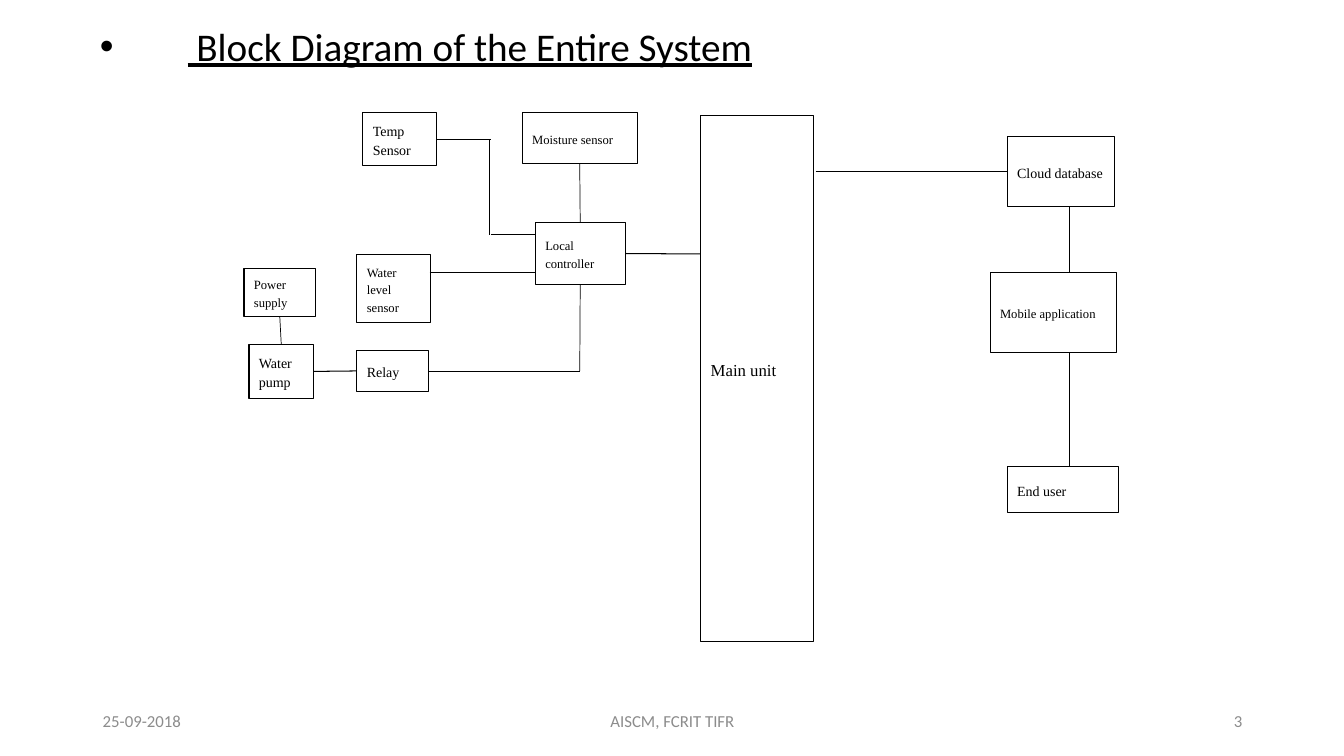
from dataclasses import dataclass
from typing import Optional

from lxml import etree
from pptx import Presentation
from pptx.dml.color import RGBColor
from pptx.enum.shapes import MSO_CONNECTOR, MSO_SHAPE
from pptx.enum.text import MSO_ANCHOR, MSO_AUTO_SIZE, PP_ALIGN
from pptx.oxml.ns import qn
from pptx.util import Inches, Pt

STRAIGHT = MSO_CONNECTOR.STRAIGHT
RECTANGLE = MSO_SHAPE.RECTANGLE
TOP, MIDDLE = MSO_ANCHOR.TOP, MSO_ANCHOR.MIDDLE
NO_AUTOFIT = MSO_AUTO_SIZE.NONE
ALIGN_LEFT, ALIGN_CENTER, ALIGN_RIGHT = PP_ALIGN.LEFT, PP_ALIGN.CENTER, PP_ALIGN.RIGHT
TOP_SIDE, LEFT_SIDE, BOTTOM_SIDE, RIGHT_SIDE = range(4)


@dataclass(frozen=True)
class Theme:
    ink: RGBColor = RGBColor(0, 0, 0)
    muted: RGBColor = RGBColor(0x8C, 0x8C, 0x8C)
    heading_font: str = "Calibri"
    block_font: str = "Times New Roman"
    title_size: float = 28
    footer_size: float = 12
    large_size: float = 12
    medium_size: float = 10
    small_size: float = 9
    box_line: float = 0.75
    wire_line: float = 0.5


THEME = Theme()


@dataclass(frozen=True)
class Block:
    name: str
    lines: tuple[str, ...]
    left: float
    top: float
    width: float
    height: float
    size: float
    bottom_inset: float = 0.1


@dataclass(frozen=True)
class Joint:
    block: str
    side: int


@dataclass(frozen=True)
class Wire:
    start: tuple[float, float]
    end: tuple[float, float]
    weight: float = THEME.wire_line
    start_joint: Optional[Joint] = None
    end_joint: Optional[Joint] = None


@dataclass(frozen=True)
class FooterItem:
    text: str
    left: float
    width: float
    alignment: PP_ALIGN


BLOCKS = (
    Block("temperature", ("Temp", "Sensor"), 3.6, 1.12, 0.73, 0.52, THEME.medium_size),
    Block("water level", ("Water level sensor",), 3.54, 2.53, 0.73, 0.67, THEME.small_size),
    Block("moisture", ("Moisture sensor",), 5.18, 1.12, 1.14, 0.5, THEME.small_size),
    Block("controller", ("Local controller",), 5.31, 2.21, 0.89, 0.61, THEME.small_size),
    Block("relay", ("Relay",), 3.54, 3.48, 0.71, 0.4, THEME.medium_size),
    Block("pump", ("Water pump",), 2.47, 3.42, 0.64, 0.53, THEME.medium_size),
    Block("power", ("Power supply",), 2.42, 2.66, 0.71, 0.48, THEME.small_size),
    Block("main unit", ("Main unit",), 6.95, 1.15, 1.12, 5.21, THEME.large_size, 0.3),
    Block("cloud", ("Cloud database",), 9.99, 1.35, 1.06, 0.7, THEME.medium_size),
    Block("mobile", ("Mobile application",), 9.82, 2.7, 1.25, 0.8, THEME.small_size),
    Block("user", ("End user",), 9.99, 4.63, 1.1, 0.46, THEME.medium_size),
)

WIRES = (
    Wire((3.11, 3.68), (3.54, 3.68), THEME.box_line,
         Joint("pump", RIGHT_SIDE), Joint("relay", LEFT_SIDE)),
    Wire((6.2, 2.52), (6.95, 2.52), THEME.box_line, Joint("controller", RIGHT_SIDE)),
    Wire((8.09, 1.7), (9.99, 1.7), THEME.box_line, None, Joint("cloud", LEFT_SIDE)),
    Wire((10.61, 2.05), (10.61, 2.7), THEME.box_line),
    Wire((10.61, 3.5), (10.61, 4.63), THEME.box_line),
    Wire((5.75, 1.62), (5.75, 2.21), start_joint=Joint("moisture", BOTTOM_SIDE),
         end_joint=Joint("controller", TOP_SIDE)),
    Wire((4.33, 1.38), (4.87, 1.38), start_joint=Joint("temperature", RIGHT_SIDE)),
    Wire((4.85, 1.38), (4.85, 2.33)),
    Wire((4.87, 2.33), (5.31, 2.33)),
    Wire((4.26, 2.7), (5.32, 2.7)),
    Wire((4.25, 3.68), (5.75, 3.68), start_joint=Joint("relay", RIGHT_SIDE)),
    Wire((5.75, 2.82), (5.75, 3.68), start_joint=Joint("controller", BOTTOM_SIDE)),
    Wire((2.78, 3.14), (2.79, 3.42), start_joint=Joint("power", BOTTOM_SIDE),
         end_joint=Joint("pump", TOP_SIDE)),
)

FOOTER = (
    FooterItem("25-09-2018", 0.92, 3, ALIGN_LEFT),
    FooterItem("AISCM, FCRIT TIFR", 4.42, 4.5, ALIGN_CENTER),
    FooterItem("3", 9.42, 3, ALIGN_RIGHT),
)


def apply_format(target, values: dict) -> None:
    for name, value in values.items():
        setattr(target, name, value)


def write_span(para, text: str, font: str, size: float, color: RGBColor,
               underline: Optional[bool] = None) -> None:
    span = para.add_run()
    span.text = text
    apply_format(span.font, {"name": font, "size": Pt(size), "underline": underline})
    span.font.color.rgb = color


def draw_title(page) -> None:
    title = page.shapes.title
    apply_format(title, {"left": Inches(0.89), "top": Inches(0.22),
                         "width": Inches(11.6), "height": Inches(0.65)})
    apply_format(title.text_frame, {"vertical_anchor": TOP, "word_wrap": True,
                                    "auto_size": NO_AUTOFIT})
    para = title.text_frame.paragraphs[0]
    apply_format(para, {"alignment": ALIGN_LEFT, "line_spacing": 0.9, "space_before": Pt(10)})
    write_span(para, " Block Diagram of the Entire System", THEME.heading_font,
               THEME.title_size, THEME.ink, True)
    # Hanging bullet
    settings = next(title.element.iter(qn("a:pPr")))
    indent = Inches(0.87)
    settings.set("marL", str(indent))
    settings.set("indent", str(-indent))
    etree.SubElement(settings, qn("a:buFont")).set("typeface", "Arial")
    etree.SubElement(settings, qn("a:buChar")).set("char", "•")


def draw_block(page, block: Block):
    box = page.shapes.add_shape(RECTANGLE, Inches(block.left), Inches(block.top),
                                Inches(block.width), Inches(block.height))
    box.shadow.inherit = False
    box.fill.background()
    box.line.color.rgb = THEME.ink
    box.line.width = Pt(THEME.box_line)
    frame = box.text_frame
    inset = Inches(0.1)
    apply_format(frame, {"margin_left": inset, "margin_right": inset, "margin_top": inset,
                         "margin_bottom": Inches(block.bottom_inset),
                         "word_wrap": True, "vertical_anchor": MIDDLE})
    for number, line in enumerate(block.lines):
        para = frame.add_paragraph() if number else frame.paragraphs[0]
        apply_format(para, {"alignment": ALIGN_LEFT, "line_spacing": 1.15})
        write_span(para, line, THEME.block_font, block.size, THEME.ink)
    return box


def draw_wire(page, wire: Wire, boxes: dict) -> None:
    points = [Inches(value) for value in wire.start + wire.end]
    connector = page.shapes.add_connector(STRAIGHT, *points)
    if wire.start_joint:
        connector.begin_connect(boxes[wire.start_joint.block], wire.start_joint.side)
    if wire.end_joint:
        connector.end_connect(boxes[wire.end_joint.block], wire.end_joint.side)
    connector.line.color.rgb = THEME.ink
    connector.line.width = Pt(wire.weight)
    etree.SubElement(connector.element.spPr, qn("a:effectLst"))


def draw_footer_item(page, item: FooterItem) -> None:
    box = page.shapes.add_textbox(Inches(item.left), Inches(6.95),
                                  Inches(item.width), Inches(0.4))
    apply_format(box.text_frame, {"word_wrap": True, "vertical_anchor": MIDDLE})
    para = box.text_frame.paragraphs[0]
    para.alignment = item.alignment
    write_span(para, item.text, THEME.heading_font, THEME.footer_size, THEME.muted)


def main() -> None:
    deck = Presentation()
    deck.slide_width, deck.slide_height = Inches(13.33), Inches(7.5)
    page = deck.slides.add_slide(deck.slide_layouts[5])
    draw_title(page)
    # Block diagram
    boxes = {block.name: draw_block(page, block) for block in BLOCKS}
    for wire in WIRES:
        draw_wire(page, wire, boxes)
    # Footer
    for item in FOOTER:
        draw_footer_item(page, item)
    deck.save("out.pptx")


if __name__ == "__main__":
    main()
